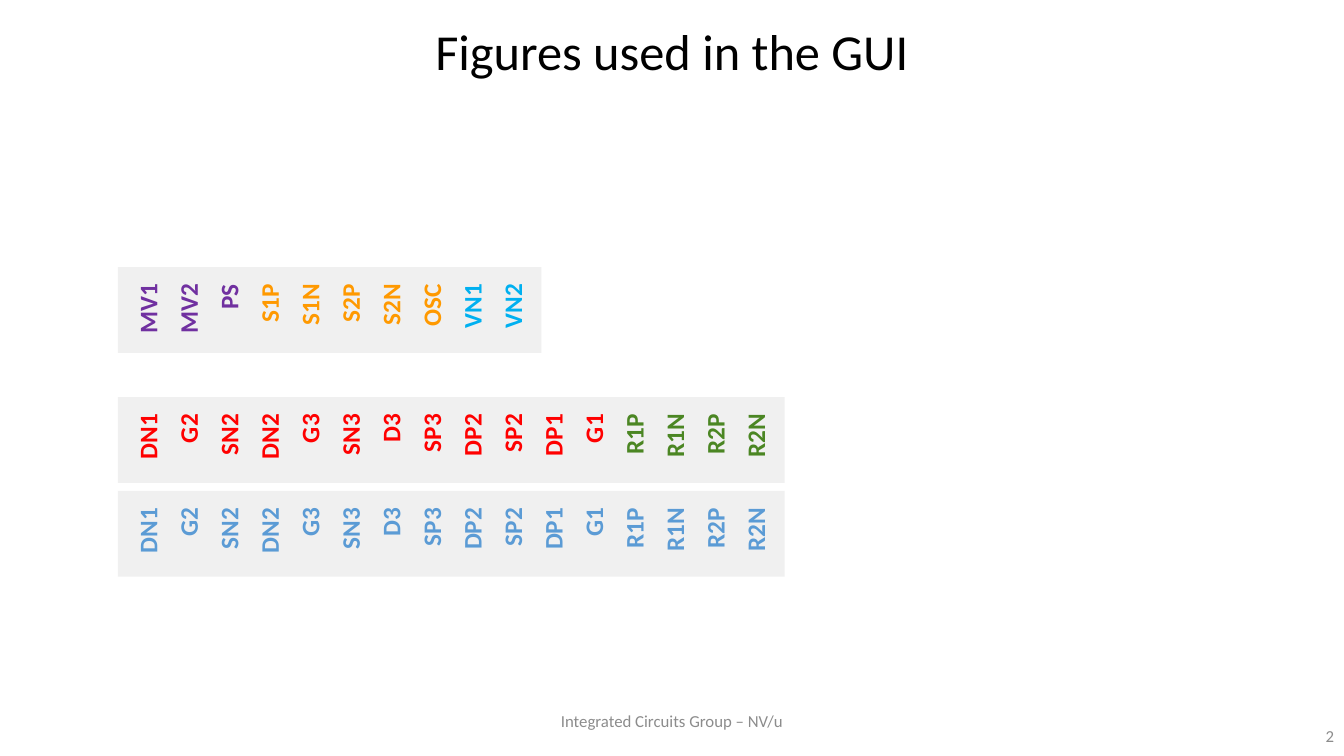
"""Build the slide of pin label strips used in the GUI."""
from pptx import Presentation
from pptx.dml.color import RGBColor
from pptx.enum.shapes import MSO_SHAPE
from pptx.enum.text import MSO_ANCHOR, PP_ALIGN
from pptx.util import Inches, Pt

RECT = MSO_SHAPE.RECTANGLE
TOP, MIDDLE = MSO_ANCHOR.TOP, MSO_ANCHOR.MIDDLE
CENTER, RIGHT = PP_ALIGN.CENTER, PP_ALIGN.RIGHT
BLACK = RGBColor(0x00, 0x00, 0x00)
GRAY = RGBColor(0x8C, 0x8C, 0x8C)
PALE = RGBColor(0xF0, 0xF0, 0xF0)
PURPLE = RGBColor(0x70, 0x30, 0xA0)
ORANGE = RGBColor(0xFF, 0x99, 0x00)
CYAN = RGBColor(0x00, 0xB0, 0xF0)
RED = RGBColor(0xFF, 0x00, 0x00)
GREEN = RGBColor(0x4B, 0x86, 0x23)
BLUE = RGBColor(0x5B, 0x9B, 0xD5)

WIDE, HIGH = 13.33, 7.5
LEFT, COL, ROW, PAD = 1.17, 6.03 / 15, 0.85, 0.18
LONG, THICK = 0.66, 0.4


def write(shape, text, size, color, align, anchor, bold=False):
    frame = shape.text_frame
    frame.word_wrap = True
    frame.vertical_anchor = anchor
    para = frame.paragraphs[0]
    para.alignment = align
    run = para.add_run()
    run.text = text
    run.font.color.rgb = color
    look = {"name": "Calibri", "size": Pt(size), "bold": bold}
    for key, value in look.items():
        setattr(run.font, key, value)
    return para


def block(group, x, y, w, h):
    shape = group.shapes.add_shape(RECT, Inches(x), Inches(y), Inches(w), Inches(h))
    shape.shadow.inherit = False
    shape.fill.solid()
    shape.fill.fore_color.rgb = PALE
    shape.line.fill.background()
    return shape


deck = Presentation()
deck.slide_width, deck.slide_height = Inches(WIDE), Inches(HIGH)
slide = deck.slides.add_slide(deck.slide_layouts[6])

texts = [
    ("2", WIDE - 3, 7.1, 3, 0.4, 12, GRAY, RIGHT),
    ("Integrated Circuits Group – NV/u", (WIDE - 4.5) / 2, 6.95, 4.5, 0.4, 12, GRAY, CENTER),
    ("Figures used in the GUI", (WIDE - 11.5) / 2, 0.18, 11.5, 0.71, 36, BLACK, CENTER),
]
for text, x, y, w, h, size, color, align in texts:
    box = slide.shapes.add_textbox(Inches(x), Inches(y), Inches(w), Inches(h))
    para = write(box, text, size, color, align, MIDDLE)
    if size == 36:
        para.line_spacing = 0.9

gates = "DN1 G2 SN2 DN2 G3 SN3 D3 SP3 DP2 SP2 DP1 G1"
loads = "R1P R1N R2P R2N"
strips = [
    (2.65, [("MV1 MV2 PS", PURPLE), ("S1P S1N S2P S2N OSC", ORANGE), ("VN1 VN2", CYAN)]),
    (3.94, [(gates, RED), (loads, GREEN)]),
    (4.87, [(gates, BLUE), (loads, BLUE)]),
]
for top, parts in strips:
    pins = [(name, color) for names, color in parts for name in names.split()]
    group = slide.shapes.add_group_shape()
    block(group, LEFT, top, len(pins) * COL + PAD, ROW)
    for i, (name, color) in enumerate(pins):
        x = LEFT + PAD / 2 + (i + 0.5) * COL - LONG / 2
        pin = block(group, x, top + 0.2, LONG, THICK)
        pin.rotation = 270
        pin.text_frame.margin_left = 0
        write(pin, name, 18, color, RIGHT, TOP, True)

deck.save("out.pptx")
